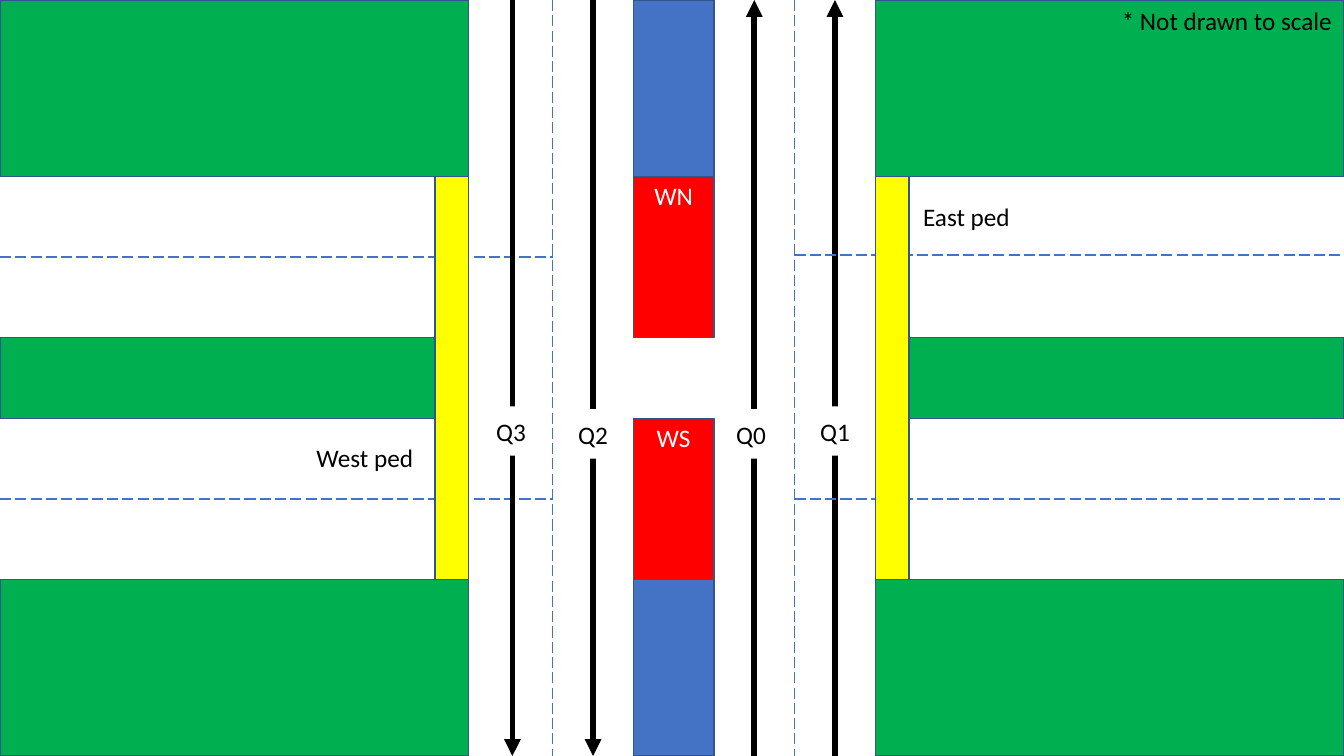
from dataclasses import dataclass

from lxml import etree
from pptx import Presentation
from pptx.dml.color import RGBColor
from pptx.enum.dml import MSO_LINE
from pptx.enum.shapes import MSO_CONNECTOR, MSO_SHAPE
from pptx.enum.text import MSO_ANCHOR, PP_ALIGN
from pptx.oxml.ns import qn
from pptx.util import Pt

RECTANGLE = MSO_SHAPE.RECTANGLE
STRAIGHT = MSO_CONNECTOR.STRAIGHT
LONG_DASH = MSO_LINE.LONG_DASH
TOP, MIDDLE = MSO_ANCHOR.TOP, MSO_ANCHOR.MIDDLE
LEFT, CENTER = PP_ALIGN.LEFT, PP_ALIGN.CENTER


@dataclass(frozen=True)
class Theme:
    font: str = "Calibri"
    size: float = 18
    black: str = "000000"
    white: str = "FFFFFF"
    grass: str = "00B050"
    median: str = "4472C4"
    waiting: str = "FF0000"
    crossing: str = "FFFF00"
    outline: str = "325491"
    lane_mark: str = "4472C4"
    thin: float = 1
    thick: float = 4


@dataclass(frozen=True)
class Area:
    left: float
    top: float
    width: float
    height: float
    fill: str
    outlined: bool = True
    text: str = ""
    text_color: str = "FFFFFF"
    anchor: MSO_ANCHOR = TOP


@dataclass(frozen=True)
class Queue:
    name: str
    x: float
    northbound: bool
    label_center: float
    label_top: float


@dataclass(frozen=True)
class Note:
    text: str
    left: float
    top: float
    width: float


THEME = Theme()
WIDTH, HEIGHT = 960, 540
LANE = 57.6
BLOCK_W, BLOCK_H = 334.8, 126
ROAD_RIGHT = WIDTH - BLOCK_W
SOUTH = HEIGHT - BLOCK_H
CROSSING_W = 24
LABEL_W, LABEL_H = 36, 35.3


def lane_x(lanes: float) -> float:
    """Distance counted in lanes from the east kerb towards the west."""
    return ROAD_RIGHT - lanes * LANE


def lane_y(lanes: float) -> float:
    """Distance counted in lanes from the north kerb towards the south."""
    return BLOCK_H + lanes * LANE


def write(shape, text: str, *, color: str, align: PP_ALIGN = LEFT,
          anchor: MSO_ANCHOR = TOP, side: float = 7.2, above: float = 3.6) -> None:
    frame = shape.text_frame
    frame.word_wrap = True
    frame.vertical_anchor = anchor
    frame.margin_left = frame.margin_right = Pt(side)
    frame.margin_top = frame.margin_bottom = Pt(above)
    paragraph = frame.paragraphs[0]
    paragraph.alignment = align
    run = paragraph.add_run()
    run.text = text
    run.font.name = THEME.font
    run.font.size = Pt(THEME.size)
    run.font.color.rgb = RGBColor.from_string(color)


def draw_area(slide, area: Area) -> None:
    shape = slide.shapes.add_shape(RECTANGLE, Pt(area.left), Pt(area.top),
                                   Pt(area.width), Pt(area.height))
    shape.shadow.inherit = False
    shape.fill.solid()
    shape.fill.fore_color.rgb = RGBColor.from_string(area.fill)
    if area.outlined:
        shape.line.color.rgb = RGBColor.from_string(THEME.outline)
        shape.line.width = Pt(THEME.thin)
    else:
        shape.line.fill.background()
    if area.text:
        write(shape, area.text, color=area.text_color, align=CENTER,
              anchor=area.anchor, side=0, above=2.7)


def draw_line(slide, x1: float, y1: float, x2: float, y2: float,
              color: str, width: float):
    connector = slide.shapes.add_connector(STRAIGHT, Pt(x1), Pt(y1), Pt(x2), Pt(y2))
    connector.line.color.rgb = RGBColor.from_string(color)
    connector.line.width = Pt(width)
    etree.SubElement(connector._element.spPr, qn("a:effectLst"))
    return connector


def draw_lane_mark(slide, x1: float, y1: float, x2: float, y2: float) -> None:
    mark = draw_line(slide, x1, y1, x2, y2, THEME.lane_mark, THEME.thin)
    mark.line.dash_style = LONG_DASH


def draw_queue(slide, queue: Queue) -> None:
    start, end = (HEIGHT, 0) if queue.northbound else (0, HEIGHT)
    arrow = draw_line(slide, queue.x, start, queue.x, end, THEME.black, THEME.thick)
    etree.SubElement(arrow.line._get_or_add_ln(), qn("a:tailEnd"), type="triangle")


def draw_note(slide, note: Note) -> None:
    box = slide.shapes.add_textbox(Pt(note.left), Pt(note.top), Pt(note.width), Pt(29))
    write(box, note.text, color=THEME.black)


QUEUES = [
    Queue("Q1", lane_x(0.5), True, lane_x(0.5), 290.2),
    Queue("Q0", lane_x(1.5), True, 536.4, 292.3),
    Queue("Q2", lane_x(3.5), False, lane_x(3.5), 292.3),
    Queue("Q3", lane_x(4.5), False, 365, 290.2),
]
GRASS = [Area(left, top, BLOCK_W, height, THEME.grass)
         for left in (0, ROAD_RIGHT)
         for top, height in ((0, BLOCK_H), (lane_y(2), LANE), (SOUTH, BLOCK_H))]
MEDIANS = [Area(lane_x(3), top, LANE, BLOCK_H, THEME.median) for top in (0, SOUTH)]
WAITING = [Area(lane_x(3), lane_y(lanes), LANE, 2 * LANE, THEME.waiting, text=name)
           for name, lanes in (("WS", 3), ("WN", 0))]
LABELS = [Area(queue.label_center - LABEL_W / 2, queue.label_top, LABEL_W, LABEL_H,
               THEME.white, False, queue.name, THEME.black, MIDDLE)
          for queue in QUEUES]
CROSSINGS = [Area(left, BLOCK_H, CROSSING_W, 5 * LANE, THEME.crossing)
             for left in (BLOCK_W - CROSSING_W, ROAD_RIGHT)]
NOTES = [
    Note("* Not drawn to scale", 794.2, 0, 165.6),
    Note("East ped", 652.3, 140.4, 83.5),
    Note("West ped", 218.9, 312.5, 87.8),
]


def main() -> None:
    presentation = Presentation()
    presentation.slide_width, presentation.slide_height = Pt(WIDTH), Pt(HEIGHT)
    slide = presentation.slides.add_slide(presentation.slide_layouts[6])

    # Northbound traffic lies below the lane marks
    for queue in QUEUES:
        if queue.northbound:
            draw_queue(slide, queue)

    # Grass blocks and the central median
    for area in GRASS + MEDIANS:
        draw_area(slide, area)

    # Lane marks of both roads
    for x in (lane_x(1), lane_x(4)):
        draw_lane_mark(slide, x, 0, x, HEIGHT)
    for y_west, y_east in ((lane_y(1), 182.2), (lane_y(4), lane_y(4))):
        draw_lane_mark(slide, 0, y_west, lane_x(4), y_west)
        draw_lane_mark(slide, lane_x(1), y_east, WIDTH, y_east)

    # Waiting areas, then southbound traffic
    for area in WAITING:
        draw_area(slide, area)
    for queue in QUEUES:
        if not queue.northbound:
            draw_queue(slide, queue)

    # Notes, queue labels and pedestrian crossings
    for note in NOTES:
        draw_note(slide, note)
    for area in LABELS + CROSSINGS:
        draw_area(slide, area)

    presentation.save("out.pptx")


if __name__ == "__main__":
    main()
